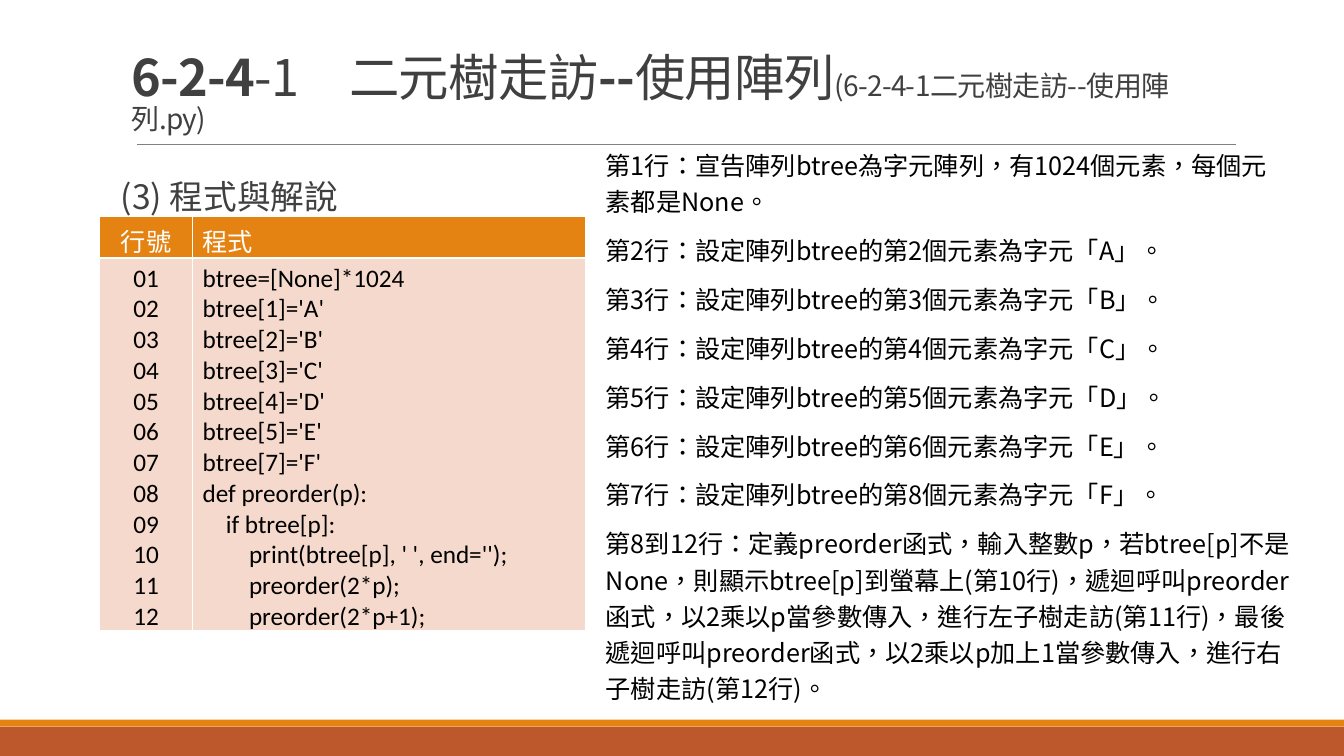
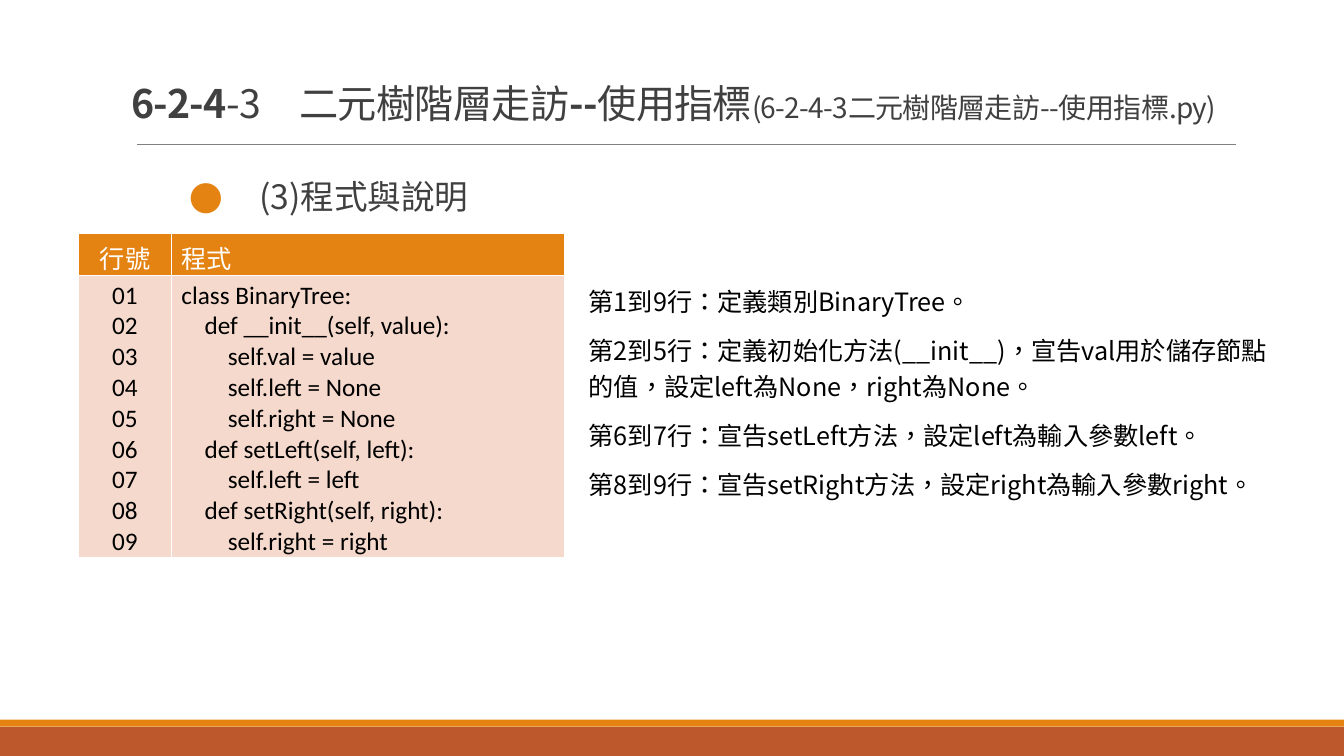
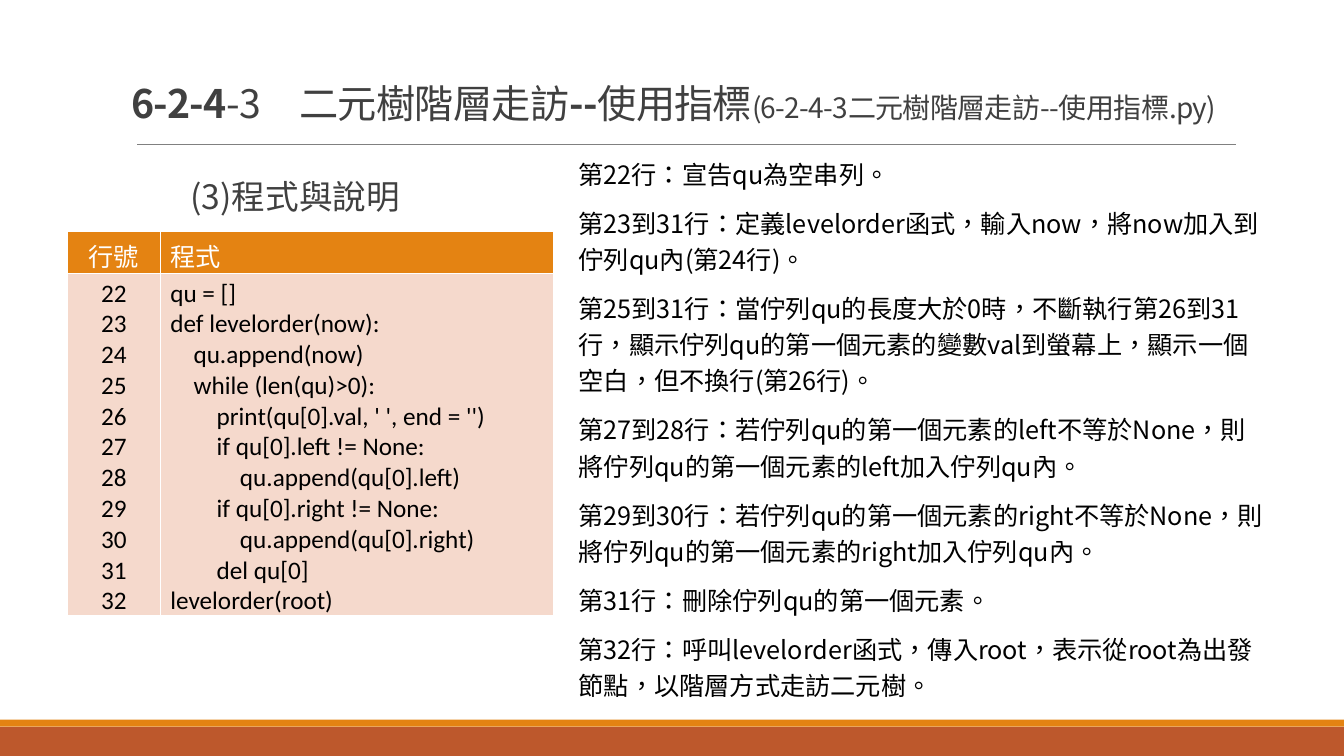
import dataclasses

import lxml.etree
import pptx
import pptx.dml.color
import pptx.enum.shapes
import pptx.enum.text
import pptx.oxml
import pptx.oxml.ns
import pptx.presentation
import pptx.slide
import pptx.table
import pptx.text.text
import pptx.util

Inches = pptx.util.Inches
Pt = pptx.util.Pt
qn = pptx.oxml.ns.qn
ALIGN = pptx.enum.text.PP_ALIGN
ANCHOR = pptx.enum.text.MSO_ANCHOR
AUTO_SIZE = pptx.enum.text.MSO_AUTO_SIZE

CJK_FONT = "Noto Sans CJK SC"
CODE_FONT = "Calibri"
ORANGE = "E48312"
RUST = "BD582C"
BLUSH = "F5D9CC"
WHITE = "FFFFFF"
BLACK = "000000"
CHARCOAL = "404040"
GRAY = "808080"

SLIDE_WIDTH = 13.33
COLUMN_WIDTHS = (0.92, 3.9)
HEADER_HEIGHT = 0.41
CODE_LINE_HEIGHT = 0.3
CELL_PADDING = 0.1
CODE_INDENT = 0.23
SPACES_PER_LEVEL = 4


@dataclasses.dataclass(frozen=True)
class Box:
    left: float
    top: float
    width: float
    height: float

    def lengths(self) -> tuple[int, int, int, int]:
        return (Inches(self.left), Inches(self.top), Inches(self.width), Inches(self.height))


@dataclasses.dataclass(frozen=True)
class Band:
    box: Box
    fill: str


@dataclasses.dataclass(frozen=True)
class Title:
    box: Box
    size: int
    suffix: str
    topic: str
    tool: str


@dataclasses.dataclass(frozen=True)
class Heading:
    text: str
    height: float
    margin: float = 0
    hanging: float = 0


@dataclasses.dataclass(frozen=True)
class Listing:
    left: float
    top: float
    first_line: int
    code: list[str]


@dataclasses.dataclass(frozen=True)
class Notes:
    box: Box
    lines: list[str]


@dataclasses.dataclass(frozen=True)
class Lesson:
    title: Title
    heading: Heading
    listing: Listing
    notes: Notes


BANDS = (
    Band(Box(0, 7.21, SLIDE_WIDTH, 0.29), RUST),
    Band(Box(0, 7.14, SLIDE_WIDTH, 0.07), ORANGE),
)

ARRAY_SLOTS = list(zip((2, 3, 4, 5, 6, 8), "ABCDEF"))
LEVEL_ORDER_TITLE = Title(Box(1.2, 0.48, 11, 0.83), 28, "-3", "二元樹階層走訪", "使用指標")

LESSONS = (
    Lesson(
        Title(Box(1.2, 0.31, 11, 1.08), 36, "-1", "二元樹走訪", "使用陣列"),
        Heading("(3) 程式與解說", 5.39),
        Listing(0.99, 2.15, 1, [
            "btree=[None]*1024",
            *(f"btree[{slot - 1}]='{letter}'" for slot, letter in ARRAY_SLOTS),
            "def preorder(p):",
            "    if btree[p]:",
            "        print(btree[p], ' ', end='');",
            "        preorder(2*p);",
            "        preorder(2*p+1);",
        ]),
        Notes(Box(5.91, 1.38, 6.99, 5.71), [
            "第1行：宣告陣列btree為字元陣列，有1024個元素，每個元素都是None。",
            *(f"第{line}行：設定陣列btree的第{slot}個元素為字元「{letter}」。"
              for line, (slot, letter) in enumerate(ARRAY_SLOTS, 2)),
            "第8到12行：定義preorder函式，輸入整數p，若btree[p]不是None，"
            "則顯示btree[p]到螢幕上(第10行)，遞迴呼叫preorder函式，"
            "以2乘以p當參數傳入，進行左子樹走訪(第11行)，最後遞迴呼叫preorder函式，"
            "以2乘以p加上1當參數傳入，進行右子樹走訪(第12行)。",
        ]),
    ),
    Lesson(
        LEVEL_ORDER_TITLE,
        Heading("(3)程式與說明", 5.75, 1.37, 0.69),
        Listing(0.78, 2.32, 1, [
            "class BinaryTree:",
            "    def __init__(self, value):",
            "        self.val = value",
            "        self.left = None",
            "        self.right = None",
            "    def setLeft(self, left):",
            "        self.left = left",
            "    def setRight(self, right):",
            "        self.right = right",
        ]),
        Notes(Box(5.74, 2.73, 6.99, 2.66), [
            "第1到9行：定義類別BinaryTree。",
            "第2到5行：定義初始化方法(__init__)，宣告val用於儲存節點的值，"
            "設定left為None，right為None。",
            "第6到7行：宣告setLeft方法，設定left為輸入參數left。",
            "第8到9行：宣告setRight方法，設定right為輸入參數right。",
        ]),
    ),
    Lesson(
        LEVEL_ORDER_TITLE,
        Heading("(3)程式與說明", 5.75, 0.69),
        Listing(0.67, 2.3, 22, [
            "qu = []",
            "def levelorder(now):",
            "    qu.append(now)",
            "    while (len(qu)>0):",
            "        print(qu[0].val, ' ', end = '')",
            "        if qu[0].left != None:",
            "            qu.append(qu[0].left)",
            "        if qu[0].right != None:",
            "            qu.append(qu[0].right)",
            "        del qu[0]",
            "levelorder(root)",
        ]),
        Notes(Box(5.64, 1.47, 6.99, 5.58), [
            "第22行：宣告qu為空串列。",
            "第23到31行：定義levelorder函式，輸入now，將now加入到佇列qu內(第24行)。",
            "第25到31行：當佇列qu的長度大於0時，不斷執行第26到31行，"
            "顯示佇列qu的第一個元素的變數val到螢幕上，顯示一個空白，但不換行(第26行)。",
            *(f"第{lines}行：若佇列qu的第一個元素的{side}不等於None，"
              f"則將佇列qu的第一個元素的{side}加入佇列qu內。"
              for lines, side in (("27到28", "left"), ("29到30", "right"))),
            "第31行：刪除佇列qu的第一個元素。",
            "第32行：呼叫levelorder函式，傳入root，表示從root為出發節點，"
            "以階層方式走訪二元樹。",
        ]),
    ),
)


def rgb(code: str) -> pptx.dml.color.RGBColor:
    return pptx.dml.color.RGBColor.from_string(code)


def style_run(run: pptx.text.text._Run, size: float, color: str,
              font: str = CJK_FONT, bold: bool = False) -> None:
    run.font.size = Pt(size)
    run.font.name = font
    run.font.bold = bold
    run.font.color.rgb = rgb(color)
    properties = run.font._element
    properties.set("lang", "zh-TW")
    lxml.etree.SubElement(properties, qn("a:ea")).set("typeface", CJK_FONT)


def style_paragraph(paragraph: pptx.text.text._Paragraph, size: float, color: str,
                    line_spacing: float) -> None:
    paragraph.line_spacing = line_spacing
    paragraph.space_before = Pt(6)
    paragraph.space_after = Pt(3)
    for run in paragraph.runs:
        style_run(run, size, color)


def furnish_layout(layout: pptx.slide.SlideLayout, slide: pptx.slide.Slide) -> None:
    for band in BANDS:
        stripe = slide.shapes.add_shape(
            pptx.enum.shapes.MSO_SHAPE.RECTANGLE, *band.box.lengths())
        stripe.shadow.inherit = False
        stripe.fill.solid()
        stripe.fill.fore_color.rgb = rgb(band.fill)
        stripe.line.fill.background()
        layout.shapes.element.append(stripe.element)
    rule = slide.shapes.add_connector(
        pptx.enum.shapes.MSO_CONNECTOR.STRAIGHT,
        Inches(1.36), Inches(1.43), Inches(12.26), Inches(1.43))
    rule.line.color.rgb = rgb(GRAY)
    rule.line.width = Pt(0.5)
    lxml.etree.SubElement(rule.element.spPr, qn("a:effectLst"))
    layout.shapes.element.append(rule.element)


def write_title(slide: pptx.slide.Slide, title: Title) -> None:
    placeholder = slide.shapes.title
    placeholder.left, placeholder.top, placeholder.width, placeholder.height = title.box.lengths()
    frame = placeholder.text_frame
    frame.auto_size = AUTO_SIZE.NONE
    frame.word_wrap = True
    frame.vertical_anchor = ANCHOR.BOTTOM
    paragraph = frame.paragraphs[0]
    paragraph.alignment = ALIGN.LEFT
    paragraph.line_spacing = 0.85
    section = "6-2-4"
    file_label = f"({section}{title.suffix}{title.topic}--{title.tool}.py)"
    for text, size, bold in (
        (section, title.size, True),
        (f"{title.suffix}\u3000{title.topic}", title.size, False),
        ("--", title.size, True),
        (title.tool, title.size, False),
        (file_label, 20, False),
    ):
        run = paragraph.add_run()
        run.text = text
        style_run(run, size, CHARCOAL, bold=bold)
        run.font._element.set("spc", "-50")


def write_heading(slide: pptx.slide.Slide, heading: Heading) -> None:
    box = Box(1.2, 1.5, 11, heading.height)
    frame = slide.shapes.add_textbox(*box.lengths()).text_frame
    frame.word_wrap = True
    frame.margin_left = frame.margin_right = 0
    frame.text = heading.text
    paragraph = frame.paragraphs[0]
    style_paragraph(paragraph, 24, CHARCOAL, 1.5)
    properties = paragraph._p.get_or_add_pPr()
    properties.set("marL", str(Inches(heading.margin)))
    properties.set("indent", str(-Inches(heading.hanging)))
    if heading.hanging:
        bullet_color = lxml.etree.SubElement(properties, qn("a:buClr"))
        lxml.etree.SubElement(bullet_color, qn("a:srgbClr")).set("val", ORANGE)
        lxml.etree.SubElement(properties, qn("a:buFont")).set("typeface", CJK_FONT)
        lxml.etree.SubElement(properties, qn("a:buChar")).set("char", "●")


def outline_cell(cell: pptx.table._Cell) -> None:
    properties = cell._tc.get_or_add_tcPr()
    for position, side in enumerate(("a:lnL", "a:lnR", "a:lnT", "a:lnB")):
        border = lxml.etree.Element(qn(side), w=str(Pt(1)))
        fill = lxml.etree.SubElement(border, qn("a:solidFill"))
        lxml.etree.SubElement(fill, qn("a:srgbClr")).set("val", WHITE)
        properties.insert(position, border)


def fill_cell(cell: pptx.table._Cell, lines: list[str], fill: str, color: str,
              alignment: ALIGN) -> None:
    cell.fill.solid()
    cell.fill.fore_color.rgb = rgb(fill)
    outline_cell(cell)
    cell.text_frame.text = "\n".join(line.lstrip() for line in lines)
    for line, paragraph in zip(lines, cell.text_frame.paragraphs):
        paragraph.alignment = alignment
        level = (len(line) - len(line.lstrip())) // SPACES_PER_LEVEL
        if level:
            paragraph._p.get_or_add_pPr().set("marL", str(Inches(level * CODE_INDENT)))
        for run in paragraph.runs:
            style_run(run, 18, color, CODE_FONT)


def draw_listing(slide: pptx.slide.Slide, listing: Listing) -> None:
    code_height = CELL_PADDING + CODE_LINE_HEIGHT * len(listing.code)
    box = Box(listing.left, listing.top, sum(COLUMN_WIDTHS), HEADER_HEIGHT + code_height)
    table = slide.shapes.add_table(2, 2, *box.lengths()).table
    for column, width in zip(table.columns, COLUMN_WIDTHS):
        column.width = Inches(width)
    for row, height in zip(table.rows, (HEADER_HEIGHT, code_height)):
        row.height = Inches(height)
    numbers = [f"{listing.first_line + offset:02d}" for offset in range(len(listing.code))]
    columns = (("行號", numbers, ALIGN.CENTER), ("程式", listing.code, ALIGN.LEFT))
    for index, (label, lines, alignment) in enumerate(columns):
        fill_cell(table.cell(0, index), [label], ORANGE, WHITE, alignment)
        fill_cell(table.cell(1, index), lines, BLUSH, BLACK, alignment)


def write_notes(slide: pptx.slide.Slide, notes: Notes) -> None:
    frame = slide.shapes.add_textbox(*notes.box.lengths()).text_frame
    frame.word_wrap = True
    frame.auto_size = AUTO_SIZE.SHAPE_TO_FIT_TEXT
    frame.text = "\n".join(notes.lines)
    for paragraph in frame.paragraphs:
        style_paragraph(paragraph, 18, BLACK, 1.2)


def build() -> pptx.presentation.Presentation:
    deck = pptx.Presentation()
    deck.slide_width = Inches(SLIDE_WIDTH)
    deck.slide_height = Inches(7.5)
    title_only = deck.slide_layouts[5]
    for index, lesson in enumerate(LESSONS):
        slide = deck.slides.add_slide(title_only)
        if index == 0:
            furnish_layout(title_only, slide)
        write_title(slide, lesson.title)
        write_heading(slide, lesson.heading)
        draw_listing(slide, lesson.listing)
        write_notes(slide, lesson.notes)
    return deck


build().save("out.pptx")
